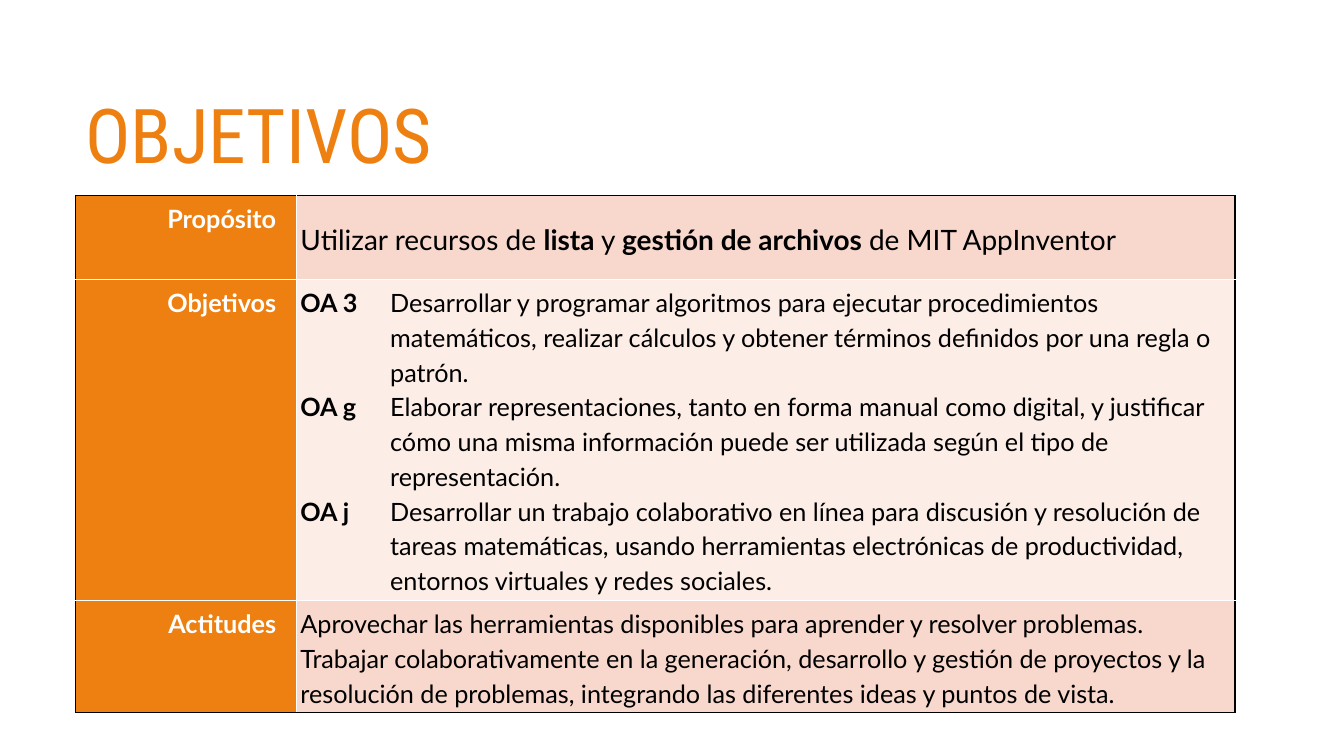
import pptx
import pptx.dml.color
import pptx.enum.text
import pptx.oxml.ns
import pptx.util
from lxml import etree

COLORS = {
    "orange": "EE8011",
    "peach": "F8D8CC",
    "pale": "FCEDE7",
    "white": "FFFFFF",
    "black": "000000",
}
MIDDLE = pptx.enum.text.MSO_ANCHOR.MIDDLE
TOP = pptx.enum.text.MSO_ANCHOR.TOP
RIGHT = pptx.enum.text.PP_ALIGN.RIGHT
INSET = 0.16
LABEL_INSET = 0.8
HANGING = 3.56

# Each paragraph is a list of (text, bold) runs.
ROWS = [
    {
        "label": "Propósito", "height": 3.32, "fill": "peach", "size": 20,
        "anchor": MIDDLE, "hanging": 0,
        "paras": [[
            ("Utilizar recursos de ", False), ("lista", True), (" y ", False),
            ("gestión de archivos ", True), ("de MIT AppInventor", False),
        ]],
    },
    {
        "label": "Objetivos", "height": 9.68, "fill": "pale", "size": 18,
        "anchor": TOP, "hanging": HANGING,
        "paras": [
            [("OA 3 \t", True),
             ("Desarrollar y programar algoritmos para ejecutar procedimientos "
              "matemáticos, realizar cálculos y obtener términos definidos por "
              "una regla o patrón.", False)],
            [("OA g ", True),
             ("\tElaborar representaciones, tanto en forma manual como digital, "
              "y justificar cómo una misma información puede ser utilizada según "
              "el tipo de representación.", False)],
            [("OA j", True),
             ("\tDesarrollar un trabajo colaborativo en línea para discusión y "
              "resolución de tareas matemáticas, usando herramientas electrónicas "
              "de productividad, entornos virtuales y redes sociales.", False)],
        ],
    },
    {
        "label": "Actitudes", "height": 4.24, "fill": "peach", "size": 18,
        "anchor": TOP, "hanging": 0,
        "paras": [
            [("Aprovechar las herramientas disponibles para aprender y resolver "
              "problemas.", False)],
            [("Trabajar colaborativamente en la generación, desarrollo y gestión "
              "de proyectos y la resolución de problemas, integrando las "
              "diferentes ideas y puntos de vista.", False)],
        ],
    },
]


class SlideBuilder:
    """Draws on one slide; lengths are units of a quarter-inch grid."""

    unit = 0.25
    title_font = "Roboto Condensed"
    body_font = "Lato"

    def __init__(self, slide):
        self.slide = slide

    def length(self, units):
        return pptx.util.Inches(units * self.unit)

    def add_runs(self, para, runs, size, color, font, spacing):
        para.line_spacing = spacing
        for text, bold in runs:
            span = para.add_run()
            span.text = text
            span.font.name = font
            span.font.size = pptx.util.Pt(size)
            span.font.bold = bold
            span.font.color.rgb = pptx.dml.color.RGBColor.from_string(COLORS[color])

    def title(self, text, left, top, width, height):
        box = self.slide.shapes.add_textbox(*map(self.length, (left, top, width, height)))
        frame = box.text_frame
        frame.word_wrap = True
        frame.vertical_anchor = MIDDLE
        self.add_runs(frame.paragraphs[0], [(text, False)], 54, "orange", self.title_font, 0.9)

    def hang(self, para, indent):
        """Hang the first line and put a tab stop where the text begins."""
        position = str(self.length(indent))
        props = para._p.get_or_add_pPr()
        props.set("marL", position)
        props.set("indent", "-" + position)
        tabs = etree.SubElement(props, pptx.oxml.ns.qn("a:tabLst"))
        etree.SubElement(tabs, pptx.oxml.ns.qn("a:tab"), pos=position, algn="l")

    def borders(self, cell, outer):
        """Draw outer edges in black and inner ones in white."""
        props = cell._tc.get_or_add_tcPr()
        for index, side in enumerate("LRTB"):
            line = etree.Element(pptx.oxml.ns.qn("a:ln" + side), w=str(pptx.util.Pt(1)))
            fill = etree.SubElement(line, pptx.oxml.ns.qn("a:solidFill"))
            color = COLORS["black" if side in outer else "white"]
            etree.SubElement(fill, pptx.oxml.ns.qn("a:srgbClr"), val=color)
            props.insert(index, line)

    def cell(self, cell, fill, outer, anchor=TOP, right=INSET):
        cell.fill.solid()
        cell.fill.fore_color.rgb = pptx.dml.color.RGBColor.from_string(COLORS[fill])
        cell.vertical_anchor = anchor
        cell.margin_left = cell.margin_top = cell.margin_bottom = self.length(INSET)
        cell.margin_right = self.length(right)
        self.borders(cell, outer)

    def table(self, rows, left, top, widths):
        height = sum(row["height"] for row in rows)
        box = self.slide.shapes.add_table(
            len(rows), len(widths),
            *map(self.length, (left, top, sum(widths), height)))
        table = box.table
        table.first_row = table.horz_banding = False
        for column, width in zip(table.columns, widths):
            column.width = self.length(width)
        for index, row in enumerate(rows):
            table.rows[index].height = self.length(row["height"])
            edges = "T" * (index == 0) + "B" * (index == len(rows) - 1)
            label, content = table.cell(index, 0), table.cell(index, 1)

            self.cell(label, "orange", "L" + edges, right=LABEL_INSET)
            para = label.text_frame.paragraphs[0]
            para.alignment = RIGHT
            self.add_runs(para, [(row["label"], True)], 18, "white", self.body_font, 1.15)

            self.cell(content, row["fill"], "R" + edges, row["anchor"])
            frame = content.text_frame
            for number, runs in enumerate(row["paras"]):
                para = frame.add_paragraph() if number else frame.paragraphs[0]
                self.add_runs(para, runs, row["size"], "black", self.body_font, 1.15)
                if row["hanging"]:
                    self.hang(para, row["hanging"])


def main():
    deck = pptx.Presentation()
    deck.slide_width = pptx.util.Inches(13.33)
    deck.slide_height = pptx.util.Inches(7.5)
    page = SlideBuilder(deck.slides.add_slide(deck.slide_layouts[6]))
    page.title("OBJETIVOS", 3, 3, 45.48, 5.04)
    page.table(ROWS, 3, 7.76, [8.76, 37.24])
    deck.save("out.pptx")


if __name__ == "__main__":
    main()
